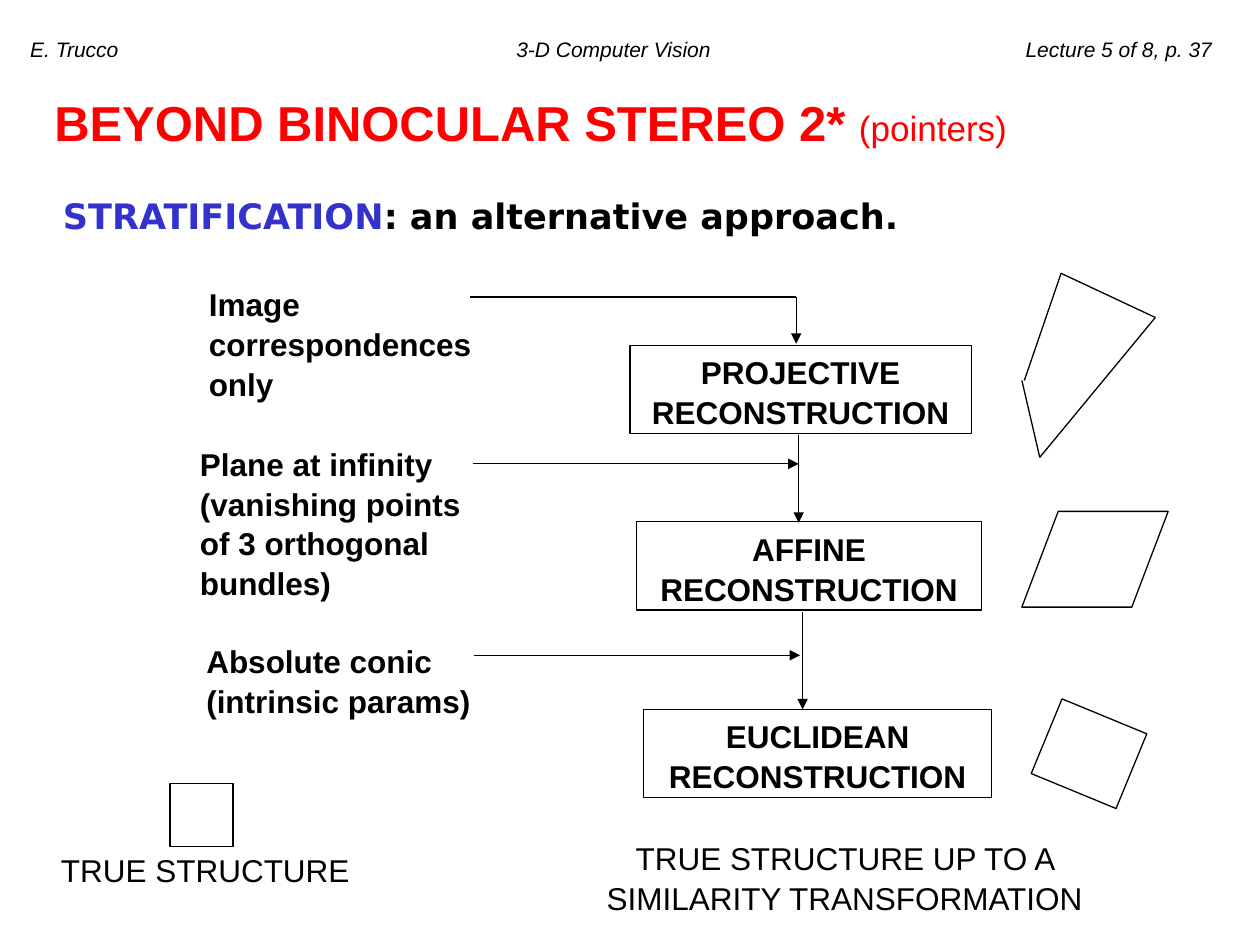
"""Build the stratification slide of a computer vision lecture."""
import itertools
import pptx
import pptx.util
import pptx.dml.color
import pptx.enum.shapes
import pptx.enum.text
import pptx.oxml.ns
import pptx.oxml.xmlchemy

Cm, Pt = pptx.util.Cm, pptx.util.Pt
RGB = pptx.dml.color.RGBColor.from_string
KIND = pptx.enum.shapes.MSO_SHAPE
ALIGN = pptx.enum.text.PP_ALIGN
make = pptx.oxml.xmlchemy.OxmlElement

THEME = {
    "ink": "000000", "title": "FF0000", "key": "3333CC",
    "font": "Arial", "lead": "DejaVu Sans",
    "small": 12, "body": 18, "large": 20, "huge": 28,
    "line": 0.75, "space": 1.05,
}

HEAD = "E. Trucco\t3-D Computer Vision\tLecture 5 of 8, p. 37"
HEAD_TABS = [(9.8, "l"), (23.83, "r")]
TITLE = [("BEYOND BINOCULAR STEREO 2* ", "huge", True), ("(pointers)", "large", False)]
LEAD = [("STRATIFICATION", "key"), (": an alternative approach.", "ink")]
STAGES = [
    ("PROJECTIVE RECONSTRUCTION", (12.7, 6.96, 6.88, 1.78)),
    ("AFFINE RECONSTRUCTION", (12.83, 10.52, 6.96, 1.78)),
    ("EUCLIDEAN RECONSTRUCTION", (12.98, 14.3, 7.01, 1.78)),
]
INPUTS = [
    ("Image correspondences only", (3.96, 5.59, 6.96, 2.54)),
    ("Plane at infinity\n(vanishing points of 3 orthogonal bundles)", (3.78, 8.81, 6.53, 3.3)),
    ("Absolute conic\n(intrinsic params)", (3.91, 12.78, 6.53, 1.78)),
]
LABELS = [
    ("TRUE STRUCTURE", (0.61, 16.99, 7.06, 1.02)),
    ("TRUE STRUCTURE UP TO A SIMILARITY TRANSFORMATION", (11.25, 16.76, 11.56, 1.78)),
]
ARROWS = [
    ((16.05, 5.99), (16.05, 6.93)),
    ((16.1, 8.76), (16.1, 10.54)),
    ((16.18, 12.34), (16.18, 14.3)),
    ((9.53, 9.35), (16.1, 9.35)),
    ((9.55, 13.21), (16.13, 13.21)),
]
ELBOW = [(16.05, 5.99), (9.47, 5.99)]
QUAD = [(20.65, 7.67), (21.39, 5.51), (23.29, 6.4), (20.96, 9.22), (20.6, 7.67)]
SKEWED = (20.6, 10.31, 2.95, 1.93)
TURNED = (21.03, 14.38, 1.85, 1.63)
SQUARE = (3.43, 15.8, 1.27, 1.27)


def style(run, size="body", color="ink", font="font", bold=False, italic=False):
    """Format one run from the theme."""
    run.font.size = Pt(THEME[size])
    run.font.name = THEME[font]
    run.font.color.rgb = RGB(THEME[color])
    run.font.bold = bold
    run.font.italic = italic


def lay(frame, align=ALIGN.LEFT):
    """Set wrapping, anchor and paragraph layout of a text frame."""
    frame.word_wrap = True
    frame.auto_size = pptx.enum.text.MSO_AUTO_SIZE.NONE
    frame.vertical_anchor = pptx.enum.text.MSO_ANCHOR.TOP
    for para in frame.paragraphs:
        para.alignment = align
        para.line_spacing = THEME["space"]
        para.space_before = Pt(0)


def write(frame, text, align=ALIGN.LEFT, **look):
    """Fill a frame with text in one look."""
    frame.text = text
    lay(frame, align)
    for para in frame.paragraphs:
        for run in para.runs:
            style(run, **look)


def add_text(slide, place):
    """Add an empty text box and return its frame."""
    return slide.shapes.add_textbox(*map(Cm, place)).text_frame


def add_shape(slide, kind, place):
    """Add an unfilled outline shape."""
    shape = slide.shapes.add_shape(kind, *map(Cm, place))
    shape.shadow.inherit = False
    shape.fill.background()
    shape.line.color.rgb = RGB(THEME["ink"])
    shape.line.width = Pt(THEME["line"])
    return shape


def add_line(slide, start, end, arrow=False):
    """Add a straight line, with an arrowhead at its end if asked."""
    kind = pptx.enum.shapes.MSO_CONNECTOR.STRAIGHT
    line = slide.shapes.add_connector(kind, *map(Cm, start + end))
    line.line.color.rgb = RGB(THEME["ink"])
    line.line.width = Pt(THEME["line"])
    props = line._element.spPr
    if arrow:
        tail = make("a:tailEnd")
        tail.set("type", "triangle")
        props.find(pptx.oxml.ns.qn("a:ln")).append(tail)
    props.append(make("a:effectLst"))


def add_head(slide):
    """Add the running header with its tab stops."""
    frame = add_text(slide, (0.36, 0.58, 25.04, 1.27))
    write(frame, HEAD, size="small", italic=True)
    tabs = make("a:tabLst")
    for stop, side in HEAD_TABS:
        tab = make("a:tab")
        tab.set("pos", str(Cm(stop)))
        tab.set("algn", side)
        tabs.append(tab)
    frame.paragraphs[0]._p.get_or_add_pPr().append(tabs)


def add_title(slide):
    """Place and fill the title and the lead line."""
    title = slide.shapes.title
    title.left, title.top, title.width, title.height = map(Cm, (0.84, 1.68, 24.56, 1.45))
    for text, size, bold in TITLE:
        run = title.text_frame.paragraphs[0].add_run()
        run.text = text
        style(run, size, "title", bold=bold)
    lay(title.text_frame)
    frame = add_text(slide, (1.02, 3.76, 22.02, 1.12))
    for text, color in LEAD:
        run = frame.paragraphs[0].add_run()
        run.text = text
        style(run, "large", color, "lead", bold=True)
    lay(frame)


def main():
    """Build and save the slide."""
    deck = pptx.Presentation()
    deck.slide_width, deck.slide_height = Cm(25.4), Cm(19.05)
    slide = deck.slides.add_slide(deck.slide_layouts[5])
    add_head(slide)
    add_title(slide)
    for text, place in STAGES:
        box = add_shape(slide, KIND.RECTANGLE, place)
        write(box.text_frame, text, ALIGN.CENTER, bold=True)
    for text, place in INPUTS:
        write(add_text(slide, place), text, bold=True)
    for text, place in LABELS:
        write(add_text(slide, place), text, ALIGN.CENTER)
    for start, end in ARROWS:
        add_line(slide, start, end, arrow=True)
    for start, end in itertools.chain(zip(ELBOW, ELBOW[1:]), zip(QUAD, QUAD[1:])):
        add_line(slide, start, end)
    add_shape(slide, KIND.PARALLELOGRAM, SKEWED).adjustments[0] = 0.38
    add_shape(slide, KIND.RECTANGLE, TURNED).rotation = 22.4
    add_shape(slide, KIND.RECTANGLE, SQUARE)
    deck.save("out.pptx")


if __name__ == "__main__":
    main()
